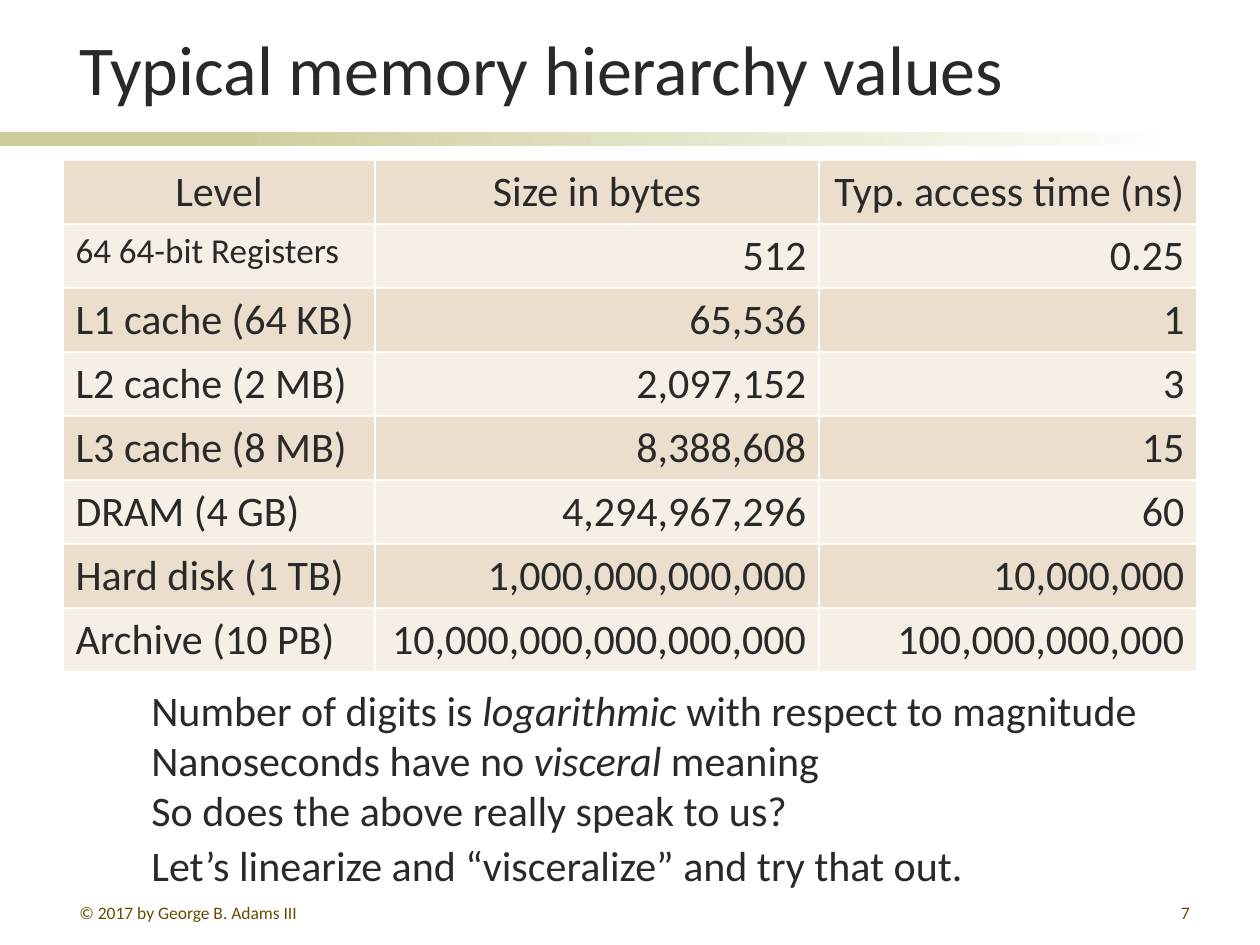
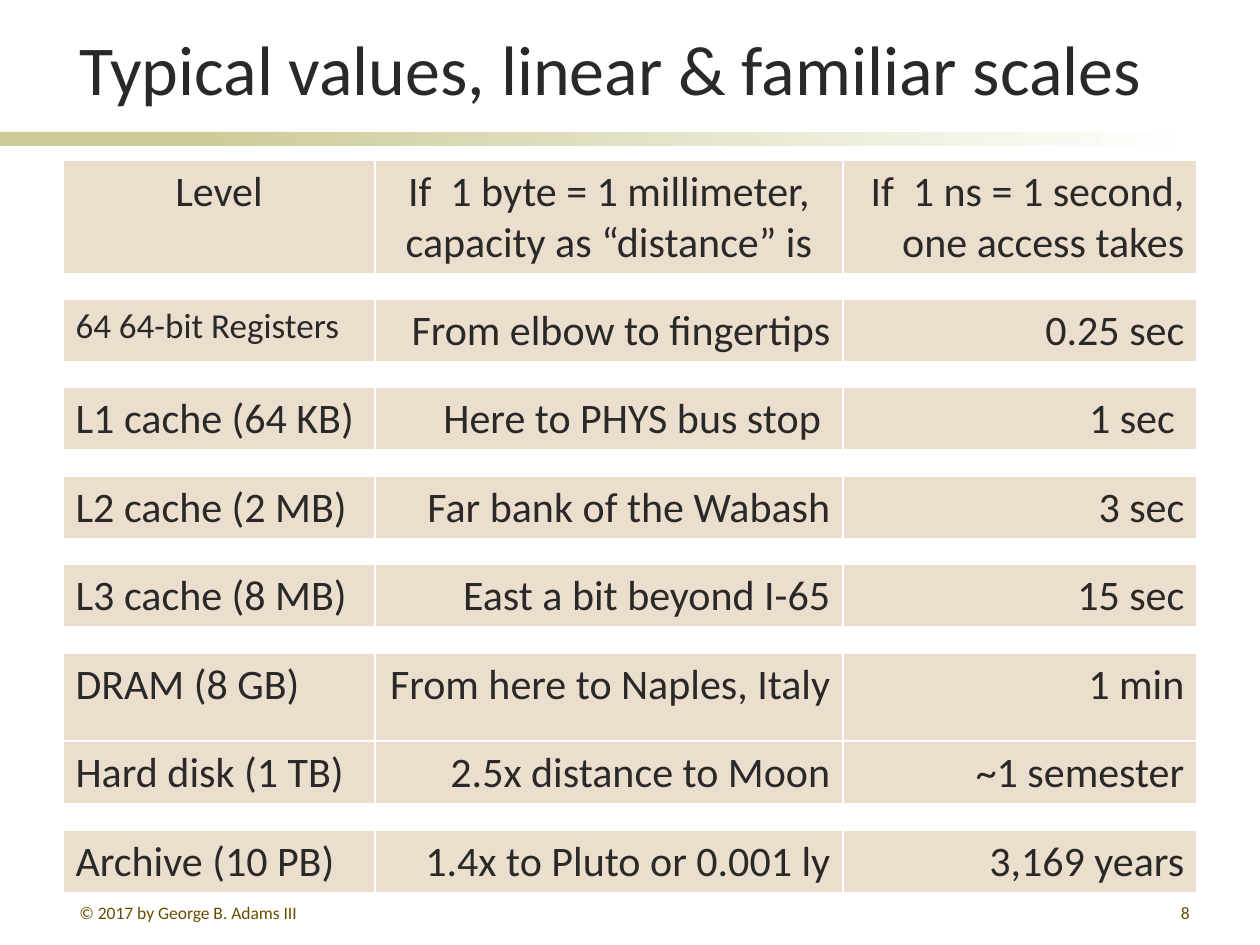
from dataclasses import dataclass

from lxml import etree
from pptx import Presentation
from pptx import util as u
from pptx.dml.color import RGBColor
from pptx.enum import shapes, text
from pptx.oxml.ns import qn

PX = 914400 // 126
LEFT, CENTER, RIGHT = text.PP_ALIGN.LEFT, text.PP_ALIGN.CENTER, text.PP_ALIGN.RIGHT


@dataclass(frozen=True)
class Theme:
    font: str = "Calibri"
    ink: str = "292929"
    footer_ink: str = "664D00"
    band: str = "CCCC99"
    white: str = "FFFFFF"
    dark_row: str = "ECDECC"
    light_row: str = "F6EFE7"
    title_size: int = 40
    body_size: int = 24
    small_size: int = 20
    footer_size: int = 10
    border_points: int = 1


def color(value):
    return RGBColor.from_string(value)


def write(frame, content, theme, size=None, ink=None, align=LEFT):
    """Fill a text frame, one paragraph per line; *word* marks italics."""
    for index, line in enumerate(content.split("\n")):
        paragraph = frame.add_paragraph() if index else frame.paragraphs[0]
        paragraph.alignment = align
        for part, words in enumerate(line.split("*")):
            run = paragraph.add_run()
            run.text = words
            run.font.name = theme.font
            run.font.size = u.Pt(size or theme.body_size)
            run.font.color.rgb = color(ink or theme.ink)
            if part % 2:
                run.font.italic = True


class Deck:
    def __init__(self, theme):
        self.theme = theme
        self.presentation = Presentation()
        self.presentation.slide_width = 1260 * PX
        self.presentation.slide_height = 945 * PX
        self.slide = None

    def add_slide(self, title, number):
        theme = self.theme
        self.slide = self.presentation.slides.add_slide(self.presentation.slide_layouts[6])
        self.band(0, 294)
        self.band(199, 998, fade=True)
        self.text(67, 14, 1135, 102, title, anchor=text.MSO_ANCHOR.BOTTOM,
                  size=theme.title_size)
        footer = {"size": theme.footer_size, "ink": theme.footer_ink}
        self.text(67, 896, 273, 26, "© 2017 by George B. Adams III", **footer)
        self.text(940, 896, 262, 26, str(number), align=RIGHT, **footer)

    def band(self, left, width, fade=False):
        shape = self.slide.shapes.add_shape(
            shapes.MSO_SHAPE.RECTANGLE, left * PX, 132 * PX, width * PX, 14 * PX)
        shape.shadow.inherit = False
        shape.line.fill.background()
        if fade:
            shape.fill.gradient()
            shape.fill.gradient_angle = 0
            for stop, value in zip(shape.fill.gradient_stops,
                                   (self.theme.band, self.theme.white)):
                stop.color.rgb = color(value)
        else:
            shape.fill.solid()
            shape.fill.fore_color.rgb = color(self.theme.band)

    def text(self, left, top, width, height, content,
             anchor=text.MSO_ANCHOR.TOP, **style):
        shape = self.slide.shapes.add_textbox(left * PX, top * PX, width * PX, height * PX)
        shape.text_frame.word_wrap = True
        shape.text_frame.vertical_anchor = anchor
        write(shape.text_frame, content, self.theme, **style)

    def table(self, top, columns, row_height, rows, header=None):
        """Add a table with alternating rows; header gives the first row's alignments."""
        theme = self.theme
        frame = self.slide.shapes.add_table(
            len(rows), len(columns), 63 * PX, top * PX,
            sum(columns) * PX, len(rows) * row_height * PX)
        table = frame.table
        table.first_row = table.horz_banding = False
        for column, width in zip(table.columns, columns):
            column.width = width * PX
        for row_index, row in enumerate(rows):
            table.rows[row_index].height = row_height * PX
            aligns = header if header and row_index == 0 else (LEFT, RIGHT, RIGHT)
            fill = theme.light_row if row_index % 2 else theme.dark_row
            for column_index, (content, align) in enumerate(zip(row, aligns)):
                cell = table.cell(row_index, column_index)
                self.style_cell(cell, fill)
                size = theme.small_size if content == REGISTERS else theme.body_size
                write(cell.text_frame, content, theme, size=size, align=align)

    def style_cell(self, cell, fill):
        properties = cell._tc.get_or_add_tcPr()
        for side in ("lnL", "lnR", "lnT", "lnB"):
            line = etree.SubElement(properties, qn(f"a:{side}"),
                                    w=str(u.Pt(self.theme.border_points)))
            solid = etree.SubElement(line, qn("a:solidFill"))
            etree.SubElement(solid, qn("a:srgbClr"), val=self.theme.white)
        cell.fill.solid()
        cell.fill.fore_color.rgb = color(fill)


REGISTERS = "64 64-bit Registers"

MEMORY_LEVELS = [
    ("Level", "Size in bytes", "Typ. access time (ns)"),
    (REGISTERS, "512", "0.25"),
    ("L1 cache (64 KB)", "65,536", "1"),
    ("L2 cache (2 MB)", "2,097,152", "3"),
    ("L3 cache (8 MB)", "8,388,608", "15"),
    ("DRAM (4 GB)", "4,294,967,296", "60"),
    ("Hard disk (1 TB)", "1,000,000,000,000", "10,000,000"),
    ("Archive (10 PB)", "10,000,000,000,000,000", "100,000,000,000"),
]

FAMILIAR_HEADER = ("Level", "If  1 byte = 1 millimeter, capacity as “distance” is",
                   "If  1 ns = 1 second, one access takes")
FAMILIAR_LEVELS = [
    (REGISTERS, "From elbow to fingertips", "0.25 sec"),
    ("L1 cache (64 KB)", "Here to PHYS bus stop ", "1 sec "),
    ("L2 cache (2 MB)", "Far bank of the Wabash", "3 sec"),
    ("L3 cache (8 MB)", "East a bit beyond I-65", "15 sec"),
    ("DRAM (8 GB)", "From here to Naples, Italy", "1 min"),
    ("Hard disk (1 TB)", "2.5x distance to Moon", "~1 semester"),
    ("Archive (10 PB)", "1.4x to Pluto or 0.001 ly", "3,169 years"),
]


def hierarchy_slide(deck):
    deck.add_slide("Typical memory hierarchy values", 7)
    deck.table(160, (312, 444, 378), 64, MEMORY_LEVELS, header=(CENTER, CENTER, RIGHT))
    deck.text(139, 678, 1040, 165,
              "Number of digits is *logarithmic* with respect to magnitude\n"
              "Nanoseconds have no *visceral* meaning\n"
              "So does the above really speak to us?")
    deck.text(139, 833, 880, 63, "Let’s linearize and “visceralize” and try that out.")


def familiar_scales_slide(deck):
    deck.add_slide("Typical values, linear & familiar scales", 8)
    columns = (312, 468, 354)
    deck.table(160, columns, 114, [FAMILIAR_HEADER], header=(CENTER, CENTER, RIGHT))
    for index, level in enumerate(FAMILIAR_LEVELS):
        row_height = 88 if level[0].startswith("DRAM") else 63
        deck.table(299 + 177 * index // 2, columns, row_height, [level])


def main():
    deck = Deck(Theme())
    hierarchy_slide(deck)
    familiar_scales_slide(deck)
    deck.presentation.save("out.pptx")


if __name__ == "__main__":
    main()
